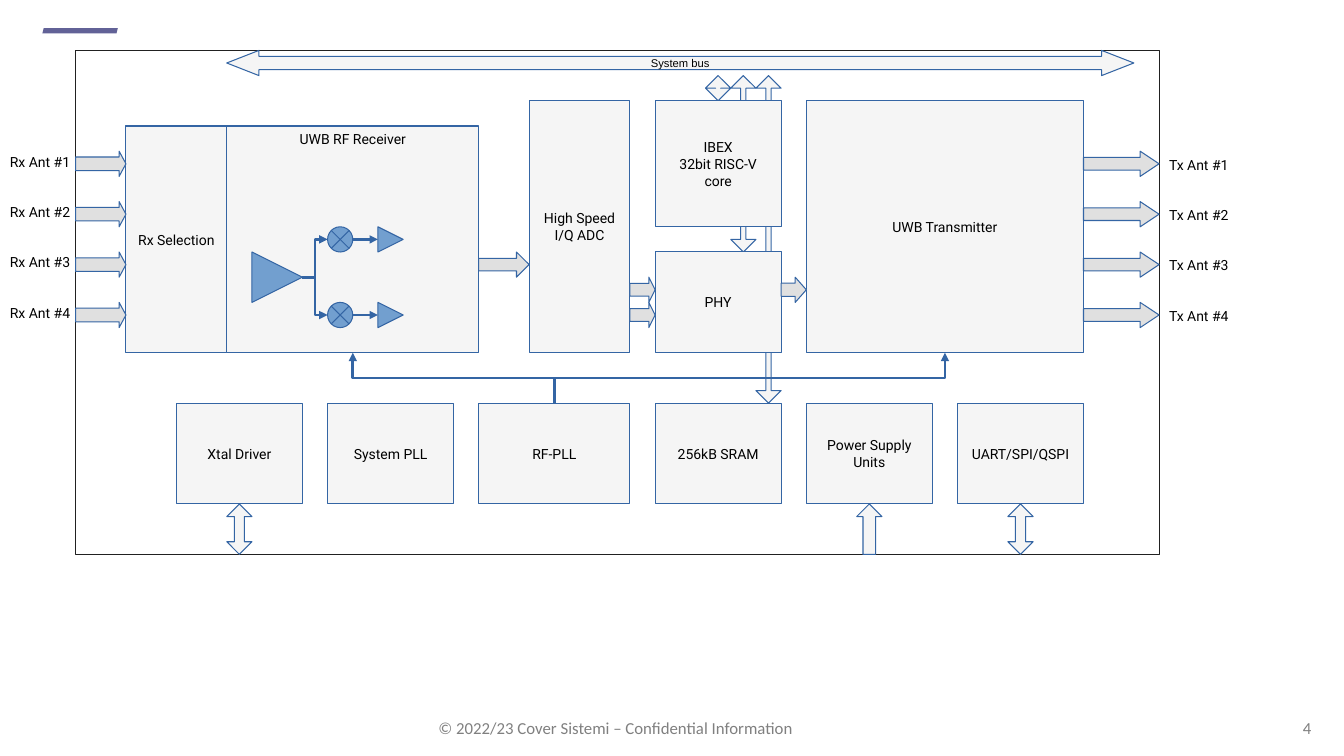
from dataclasses import dataclass

from lxml import etree
from pptx import Presentation
from pptx import util as u
from pptx.dml.color import RGBColor
from pptx.enum import shapes, text
from pptx.oxml import ns

GRID = u.Cm(2.54) / 4  # the diagram sits on a grid of four cells per inch
OUTLINE, PALE, GREY, BLUE = "3465A4", "F5F5F5", "E0E0E0", "729FCF"
INK, FRAME, FOOTER, ACCENT = "000000", "212121", "808080", "626297"
KIND = shapes.MSO_SHAPE
ALIGN = text.PP_ALIGN


@dataclass
class Block:
    """A labelled block, in grid cells."""
    label: str
    left: float
    top: float
    width: float
    height: float
    anchor: text.MSO_ANCHOR = text.MSO_ANCHOR.MIDDLE


@dataclass
class Arrow:
    """A block arrow, in grid cells, with its shaft and head ratios."""
    kind: shapes.MSO_SHAPE
    left: float
    top: float
    width: float
    height: float
    shaft: float
    head: float
    fill: str = PALE


def rgb(value: str) -> RGBColor:
    return RGBColor.from_string(value)


def cells(*counts: float) -> list:
    return [u.Emu(round(count * GRID)) for count in counts]


def style_text(frame, size: float, font: str, color: str, align) -> None:
    for paragraph in frame.paragraphs:
        paragraph.alignment = align
        for run in paragraph.runs:
            run.font.size = u.Pt(size)
            run.font.name = font
            run.font.color.rgb = rgb(color)


def draw_shape(kind, box: list, fill: str = "", outline: str = OUTLINE):
    shape = slide.shapes.add_shape(kind, *box)
    shape.shadow.inherit = False
    if fill:
        shape.fill.solid()
        shape.fill.fore_color.rgb = rgb(fill)
    else:
        shape.fill.background()
    if outline:
        shape.line.color.rgb = rgb(outline)
        shape.line.width = u.Pt(0)
    else:
        shape.line.fill.background()
    return shape


def draw_block(block: Block) -> None:
    box = cells(block.left, block.top, block.width, block.height)
    frame = draw_shape(KIND.RECTANGLE, box, PALE).text_frame
    frame.word_wrap = True
    frame.vertical_anchor = block.anchor
    frame.text = block.label
    style_text(frame, 10, "Roboto", INK, ALIGN.CENTER)


def draw_arrow(arrow: Arrow):
    box = cells(arrow.left, arrow.top, arrow.width, arrow.height)
    shape = draw_shape(arrow.kind, box, arrow.fill)
    shape.adjustments[0] = arrow.shaft
    shape.adjustments[1] = arrow.head
    return shape


def draw_label(label: str, box: list, size: float = 10, font: str = "Roboto",
               color: str = INK, align=ALIGN.LEFT):
    frame = slide.shapes.add_textbox(*box).text_frame
    frame.word_wrap = True
    frame.auto_size = text.MSO_AUTO_SIZE.SHAPE_TO_FIT_TEXT
    frame.text = label
    style_text(frame, size, font, color, align)
    return frame


def draw_wire(kind, x1: float, y1: float, x2: float, y2: float):
    wire = slide.shapes.add_connector(kind, *cells(x1, y1, x2, y2))
    wire.line.color.rgb = rgb(OUTLINE)
    wire.line.width = u.Pt(0)
    properties = wire._element.spPr
    tail = etree.SubElement(properties.find(ns.qn("a:ln")), ns.qn("a:tailEnd"))
    tail.set("type", "triangle")
    etree.SubElement(properties, ns.qn("a:effectLst"))
    return wire


def draw_riser(x1: float, y1: float, x2: float, y2: float) -> None:
    """An elbow wire that leaves and arrives vertically: a quarter turn."""
    turn = 1 if x2 > x1 else -1
    mid_x, mid_y = (x1 + x2) / 2, (y1 + y2) / 2
    dx, dy = turn * (y1 - y2) / 2, turn * (x2 - x1) / 2
    wire = draw_wire(shapes.MSO_CONNECTOR.ELBOW,
                     mid_x + dx, mid_y + dy, mid_x - dx, mid_y - dy)
    degrees = 90 if turn > 0 else 270
    wire._element.spPr.find(ns.qn("a:xfrm")).set("rot", str(degrees * 60000))


BUS_LINKS = [
    Arrow(KIND.UP_DOWN_ARROW, 30, 3, 1, 13, 0.47, 0.21),
    Arrow(KIND.UP_DOWN_ARROW, 29, 3, 1, 7, 0.5, 0.21),
    Arrow(KIND.UP_DOWN_ARROW, 28, 3, 1, 1, 0.5, 0.2),
]
BLOCKS = [
    Block("Rx Selection", 5, 5, 4, 9),
    Block("UWB RF Receiver", 9, 5, 10, 9, text.MSO_ANCHOR.TOP),
    Block("High Speed I/Q ADC", 21, 4, 4, 10),
    Block("IBEX\n32bit RISC-V core", 26, 4, 5, 5),
    Block("PHY", 26, 10, 5, 4),
    Block("UWB Transmitter", 32, 4, 11, 10),
    Block("Xtal Driver", 7, 16, 5, 4),
    Block("System PLL", 13, 16, 5, 4),
    Block("RF-PLL", 19, 16, 6, 4),
    Block("256kB SRAM", 26, 16, 5, 4),
    Block("Power Supply Units", 32, 16, 5, 4),
    Block("UART/SPI/QSPI", 38, 16, 5, 4),
]
SIGNAL_ARROWS = [
    Arrow(KIND.RIGHT_ARROW, 19, 10, 2, 1, 0.5, 0.5, GREY),
    Arrow(KIND.RIGHT_ARROW, 25, 11, 1, 1, 0.5, 0.25, GREY),
    Arrow(KIND.RIGHT_ARROW, 25, 12, 1, 1, 0.5, 0.25, GREY),
    Arrow(KIND.RIGHT_ARROW, 31, 11, 1, 1, 0.52, 0.44, GREY),
    Arrow(KIND.UP_DOWN_ARROW, 9, 20, 1, 2, 0.5, 0.4),
    Arrow(KIND.UP_ARROW, 34, 20, 1, 2, 0.5, 0.5),
    Arrow(KIND.UP_DOWN_ARROW, 40, 20, 1, 2, 0.5, 0.4),
]

deck = Presentation()
deck.slide_width, deck.slide_height = u.Cm(33.87), u.Cm(19.05)
slide = deck.slides.add_slide(deck.slide_layouts[6])

# Footer and accent mark
draw_shape(KIND.PARALLELOGRAM, [u.Cm(1.07), u.Cm(0.71), u.Cm(1.9), u.Cm(0.13)],
           ACCENT, "")
for footer, left, width, align in (
        ("© 2022/23 Cover Sistemi – Confidential Information", 10.85, 10, ALIGN.LEFT),
        ("4", 31, 2.25, ALIGN.RIGHT)):
    footer_frame = draw_label(footer, [u.Cm(left), u.Cm(17.98), u.Cm(width), u.Cm(0.71)],
                              12, "Calibri", FOOTER, align)
    footer_frame.margin_left = footer_frame.margin_right = u.Cm(0.2)
    footer_frame.margin_top = footer_frame.margin_bottom = u.Cm(0.1)

# Chip: bus links run behind the blocks
for link in BUS_LINKS:
    draw_arrow(link)
for block in BLOCKS:
    draw_block(block)
draw_shape(KIND.RECTANGLE, cells(3, 2, 43, 20), outline=FRAME)
for signal in SIGNAL_ARROWS:
    draw_arrow(signal)

# System bus
bus = draw_arrow(Arrow(KIND.LEFT_RIGHT_ARROW, 9, 2, 36, 1, 0.53, 1.28)).text_frame
bus.text = "System bus"
bus.vertical_anchor = text.MSO_ANCHOR.MIDDLE
style_text(bus, 8, "Arial", INK, ALIGN.CENTER)

# Receiver: amplifier feeding two mixer branches
draw_shape(KIND.FLOWCHART_EXTRACT, cells(10, 10, 2, 2), BLUE).rotation = 90
for branch in (9, 12):
    draw_shape(KIND.FLOWCHART_SUMMING_JUNCTION, cells(13, branch, 1, 1), BLUE)
    draw_shape(KIND.FLOWCHART_EXTRACT, cells(15, branch, 1, 1), BLUE).rotation = 90
    draw_wire(shapes.MSO_CONNECTOR.ELBOW, 12, 11, 13, branch + 0.5)
    draw_wire(shapes.MSO_CONNECTOR.STRAIGHT, 14, branch + 0.5, 15, branch + 0.5)

# RF-PLL feeds the receiver and the transmitter
for target in (14, 37.5):
    draw_riser(22, 16, target, 14)

# Antennas
for number in range(1, 5):
    row = 4 + 2 * number
    draw_arrow(Arrow(KIND.RIGHT_ARROW, 3, row, 2, 1, 0.54, 0.27, GREY))
    draw_arrow(Arrow(KIND.RIGHT_ARROW, 43, row, 3, 1, 0.5, 0.75, GREY))
    draw_label(f"Rx Ant #{number}", cells(0, row - 0.12, 5, 1.1))
    draw_label(f"Tx Ant #{number}", cells(46, row, 5, 1.1))

deck.save("out.pptx")
